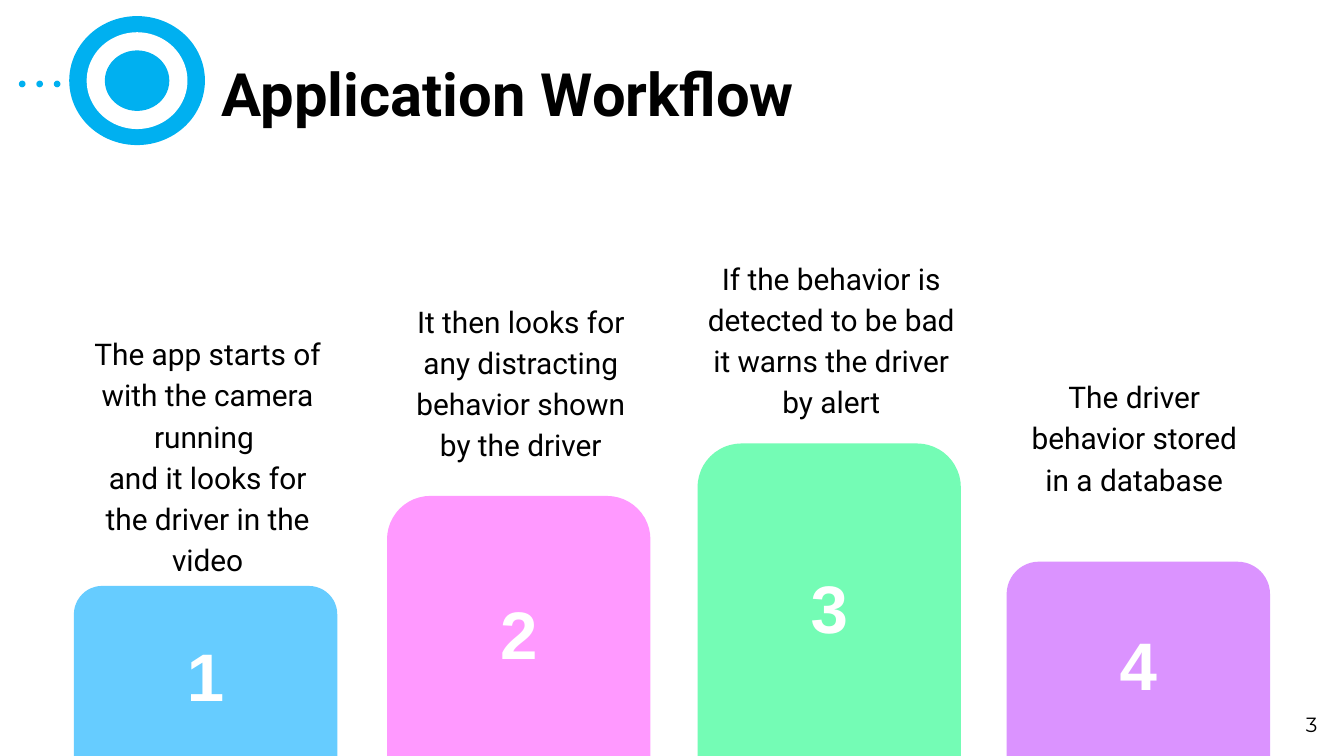
from pptx import Presentation
from pptx.dml.color import RGBColor
from pptx.enum.shapes import MSO_SHAPE
from pptx.enum.text import MSO_ANCHOR, PP_ALIGN
from pptx.util import Inches, Pt

wide = 10
tall = wide * 9 / 16
deck = Presentation()
deck.slide_width = Inches(wide)
deck.slide_height = Inches(tall)
slide = deck.slides.add_slide(deck.slide_layouts[6])


def draw(kind, x, y, w, h, color):
    shape = slide.shapes.add_shape(kind, Inches(x), Inches(y), Inches(w), Inches(h))
    shape.shadow.inherit = False
    shape.fill.solid()
    shape.fill.fore_color.rgb = RGBColor.from_string(color)
    shape.line.fill.background()
    return shape


def write(shape, lines, size, font, color="000000", bold=False, pad=0.1,
          space=1.0, anchor=MSO_ANCHOR.TOP, align=PP_ALIGN.CENTER):
    frame = shape.text_frame
    frame.word_wrap = True
    frame.vertical_anchor = anchor
    frame.margin_left = frame.margin_right = Inches(pad)
    frame.margin_top = frame.margin_bottom = Inches(pad)
    for i, line in enumerate(lines):
        para = frame.add_paragraph() if i else frame.paragraphs[0]
        para.alignment = align
        para.line_spacing = space
        run = para.add_run()
        run.text = line
        run.font.size = Pt(size)
        run.font.name = font
        run.font.bold = bold
        run.font.color.rgb = RGBColor.from_string(color)
    return frame


for w, h, color in [(1.01, 0.96, "00B0F0"), (0.75, 0.72, "FFFFFF"), (0.48, 0.45, "00B0F0")]:
    draw(MSO_SHAPE.OVAL, 1.02 - w / 2, 0.6 - h / 2, w, h, color)
for i in range(3):
    draw(MSO_SHAPE.OVAL, 0.14 + 0.13 * i, 0.6, 0.05, 0.05, "00B0F0")

title = slide.shapes.add_textbox(Inches(1.54), Inches(0), Inches(7.38), Inches(0.96))
frame = write(title, ["Application Workflow"], 32, "Roboto", bold=True, pad=0,
              space=1.5, anchor=MSO_ANCHOR.BOTTOM, align=PP_ALIGN.LEFT)
frame.margin_left = Inches(0.11)
frame.paragraphs[0].space_after = Pt(6)

steps = [
    (0.55, 4.36, "66CCFF", (0.55, 2.36, 1.99, 1.93),
     ["The app starts of with the camera running ", "and it looks for the driver in the video"]),
    (2.88, 3.69, "FF99FF", (2.89, 2.12, 1.97, 1.34),
     ["It then looks for any distracting behavior shown by the driver"]),
    (5.19, 3.3, "74FCB5", (5.16, 1.8, 2.05, 1.33),
     ["If the behavior is detected to be bad it warns the driver by alert"]),
    (7.49, 4.18, "DB93FF", (7.47, 2.68, 1.94, 1.44),
     ["The driver behavior stored in a database"]),
]
for i, (x, y, color, place, lines) in enumerate(steps, 1):
    bar = draw(MSO_SHAPE.ROUND_2_SAME_RECTANGLE, x, y, 1.96, tall - y, color)
    bar.adjustments[0] = 0.167
    bar.adjustments[1] = 0
    write(bar, [str(i)], 36, "Arial", "FFFFFF", bold=True, anchor=MSO_ANCHOR.MIDDLE)
    note = slide.shapes.add_textbox(*[Inches(n) for n in place])
    write(note, lines, 16, "Roboto", space=1.15)

page = slide.shapes.add_textbox(Inches(9.52), Inches(5.16), Inches(0.48), Inches(0.46))
write(page, ["3"], 11, "Montserrat", pad=0, anchor=MSO_ANCHOR.MIDDLE)

deck.save("out.pptx")
